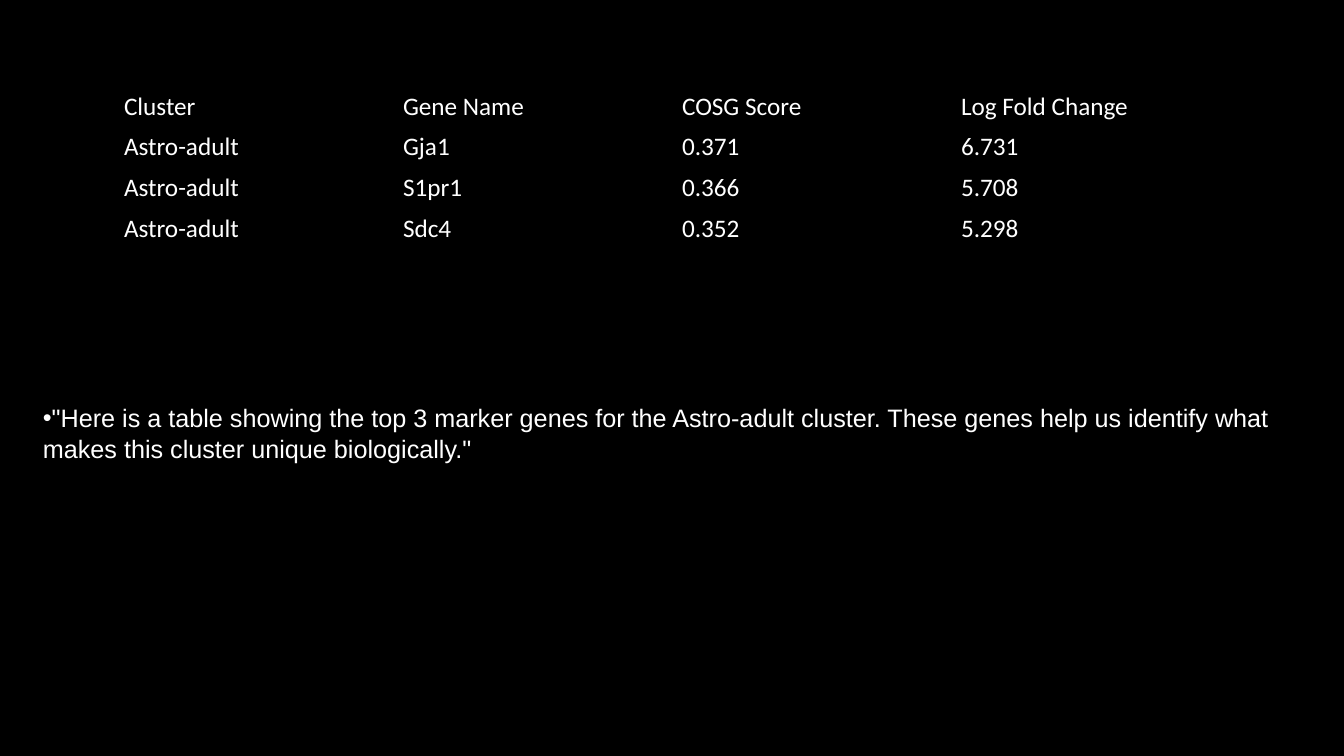
from lxml.etree import SubElement
from pptx import Presentation
from pptx.dml.color import RGBColor
from pptx.enum.text import MSO_ANCHOR
from pptx.oxml.ns import qn
from pptx.util import Pt

EMU_PER_PX = 9071
COLORS = {"background": "000000", "text": "FFFFFF"}
NO_GRID_STYLE = "{2D5ABB26-0587-4C30-8999-92F81FD0307C}"
MARKER_GENES = [
    ("Cluster", "Gene Name", "COSG Score", "Log Fold Change"),
    ("Astro-adult", "Gja1", "0.371", "6.731"),
    ("Astro-adult", "S1pr1", "0.366", "5.708"),
    ("Astro-adult", "Sdc4", "0.352", "5.298"),
]
EXPLANATION = (
    '"Here is a table showing the top 3 marker genes for the Astro-adult cluster. '
    'These genes help us identify what makes this cluster unique biologically."'
)


def px(length):
    return length * EMU_PER_PX


def color(name):
    return RGBColor.from_string(COLORS[name])


def add_span(para, text, font_name):
    span = para.add_run()
    span.text = text
    span.font.name = font_name
    span.font.size = Pt(18)
    span.font.color.rgb = color("text")


def add_plain_table(page, rows, left, top, column_width, row_height):
    row_count, column_count = len(rows), len(rows[0])
    frame = page.shapes.add_table(
        row_count, column_count, px(left), px(top),
        px(column_width * column_count), px(row_height * row_count),
    )
    table = frame.table
    table.first_row = False
    table.horz_banding = False
    frame.element.find(".//" + qn("a:tableStyleId")).text = NO_GRID_STYLE
    for row_index, row in enumerate(rows):
        for column_index, text in enumerate(row):
            cell = table.cell(row_index, column_index)
            cell.fill.background()
            cell.vertical_anchor = MSO_ANCHOR.MIDDLE
            add_span(cell.text_frame.paragraphs[0], text, "Calibri")


def add_bullet_box(page, text, left, top, width, height):
    box = page.shapes.add_textbox(px(left), px(top), px(width), px(height))
    box.text_frame.word_wrap = True
    box.text_frame.vertical_anchor = MSO_ANCHOR.MIDDLE
    para = box.text_frame.paragraphs[0]
    add_span(para, text, "Arial")
    properties = para._p.get_or_add_pPr()
    properties.set("marL", "0")
    properties.set("indent", "0")
    SubElement(properties, qn("a:buFont"), typeface="Arial")
    SubElement(properties, qn("a:buChar"), char="•")


def main():
    deck = Presentation()
    deck.slide_width = px(1344)
    deck.slide_height = px(756)
    page = deck.slides.add_slide(deck.slide_layouts[6])
    page.background.fill.solid()
    page.background.fill.fore_color.rgb = color("background")
    add_plain_table(page, MARKER_GENES, 114, 86, 279, 40)
    add_bullet_box(page, EXPLANATION, 33, 367, 1311, 132)
    deck.save("out.pptx")


if __name__ == "__main__":
    main()
